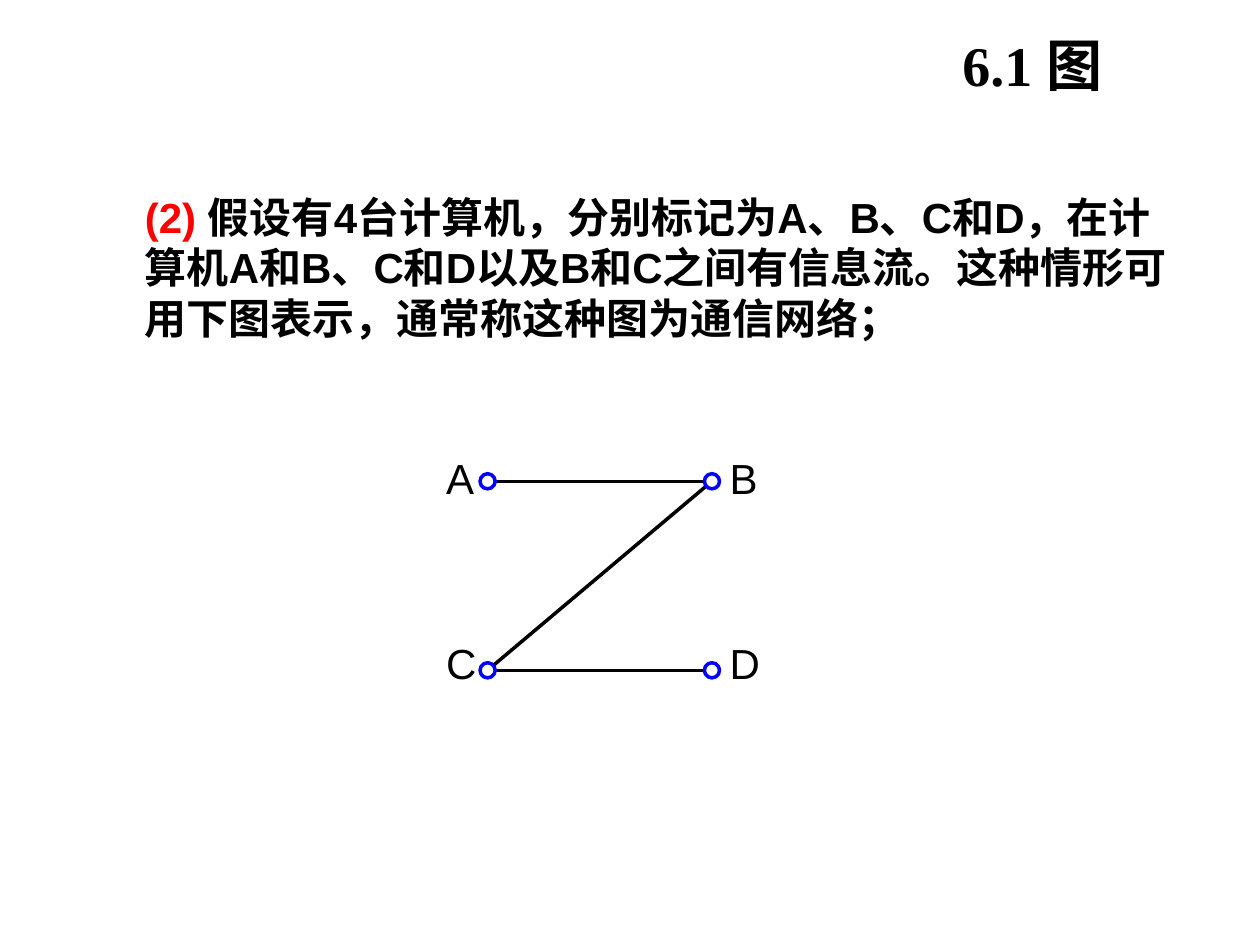
from lxml.etree import SubElement
from pptx import Presentation
from pptx.dml.color import RGBColor
from pptx.enum.shapes import MSO_CONNECTOR as Link, MSO_SHAPE as Form
from pptx.enum.text import MSO_ANCHOR as Anchor, MSO_AUTO_SIZE as Fit, PP_ALIGN as Align
from pptx.oxml.ns import qn
from pptx.util import Inches, Pt

BLACK = RGBColor(0, 0, 0)
WHITE = RGBColor(255, 255, 255)
RED = RGBColor(255, 0, 0)
BLUE = RGBColor(0, 0, 255)
SANS, SERIF, HAN = "Arial", "Times New Roman", "Noto Sans CJK SC"


def cell(n):
    """Length of n cells in a grid of 100 columns by 75 rows."""
    return Inches(n / 10)


class Deck:
    def __init__(self):
        self.prs = Presentation()
        self.prs.slide_width, self.prs.slide_height = cell(100), cell(75)
        self.slide = self.prs.slides.add_slide(self.prs.slide_layouts[1])
        self.group = self.slide.shapes.add_group_shape().shapes

    def run(self, para, text, size, face=SANS, color=BLACK, bold=True):
        run = para.add_run()
        run.text = text
        font = run.font
        font.name, font.size, font.bold = face, Pt(size), bold
        font.color.rgb = color
        SubElement(run._r.get_or_add_rPr(), qn("a:ea"), typeface=HAN)

    def place(self, shape, box):
        """Move a placeholder to box and return its first paragraph."""
        shape.left, shape.top, shape.width, shape.height = map(cell, box)
        shape.text_frame.auto_size = Fit.NONE
        para = shape.text_frame.paragraphs[0]
        para.space_before = Pt(0)
        return para

    def title(self, box, runs):
        shape = self.slide.shapes.title
        para = self.place(shape, box)
        shape.text_frame.vertical_anchor = Anchor.MIDDLE
        para.alignment = Align.RIGHT
        for text, face in runs:
            self.run(para, text, 32, face)

    def body(self, box, runs):
        para = self.place(self.slide.placeholders[1], box)
        props = para._p.get_or_add_pPr()
        props.set("marL", str(cell(3.8)))
        props.set("indent", "0")
        SubElement(props, qn("a:buNone"))
        for text, color in runs:
            self.run(para, text, 24, color=color)

    def edge(self, start, end):
        line = self.group.add_connector(Link.STRAIGHT, *map(cell, start + end))
        line.line.color.rgb, line.line.width = BLACK, Pt(2)
        SubElement(line._element.spPr, qn("a:effectLst"))

    def label(self, text, left, top):
        frame = self.group.add_textbox(
            cell(left), cell(top), cell(2.5), cell(4)).text_frame
        frame.word_wrap = True
        frame.margin_left = frame.margin_right = 0
        frame.margin_top = frame.margin_bottom = 0
        self.run(frame.paragraphs[0], text, 24, bold=False)

    def node(self, x, y, size=1.2):
        dot = self.group.add_shape(
            Form.OVAL, cell(x - size / 2), cell(y - size / 2), cell(size), cell(size))
        dot.shadow.inherit = False
        dot.fill.solid()
        dot.fill.fore_color.rgb = WHITE
        dot.line.color.rgb, dot.line.width = BLUE, Pt(2)


def main():
    deck = Deck()
    deck.title((21.6, 2.8, 66.9, 4.6), [("6.1 ", SERIF), ("图", HAN)])
    deck.body((6.7, 14.7, 88.2, 17.8), [
        ("(2) ", RED),
        ("假设有4台计算机，分别标记为A、B、C和D，在计算机A和B、C和D以及B和C之间"
         "有信息流。这种情形可用下图表示，通常称这种图为通信网络；", BLACK),
    ])

    left, right, top, low = 38.7, 56.5, 38.2, 53.2
    nodes = {"A": (left, top), "B": (right, top),
             "C": (left, low), "D": (right, low)}
    for start, end in ("AB", "CD", "BC"):
        deck.edge(nodes[start], nodes[end])
    for name, (x, y) in nodes.items():
        deck.label(name, 35.4 if x == left else 57.9, 35.9 if y == top else 50.6)
    for spot in nodes.values():
        deck.node(*spot)
    deck.prs.save("out.pptx")


if __name__ == "__main__":
    main()
